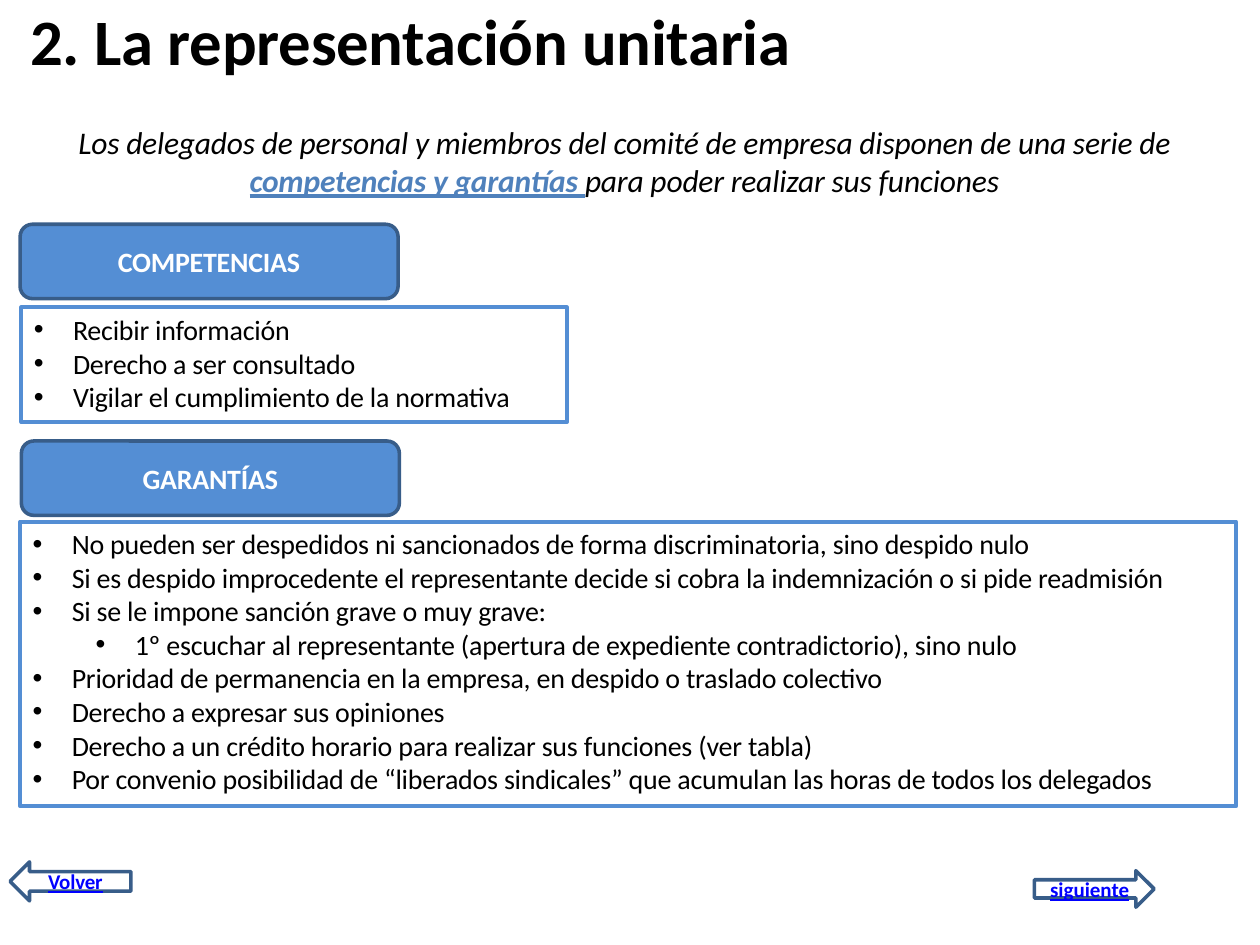
from pptx import Presentation
from pptx import util as u
from pptx.dml.color import RGBColor
from pptx.enum import shapes, text
from pptx.oxml import parse_xml
from pptx.oxml.ns import nsdecls

COLORS = {"black": "000000", "white": "FFFFFF", "blue": "548ED4",
          "navy": "385D89", "accent": "4F81BC", "link": "0000FF"}
SHAPE = shapes.MSO_SHAPE
ALIGN = text.PP_ALIGN

DUTIES = [
    "Recibir información",
    "Derecho a ser consultado",
    "Vigilar el cumplimiento de la normativa",
]
GUARANTEES = [
    "No pueden ser despedidos ni sancionados de forma discriminatoria, sino despido nulo",
    "Si es despido improcedente el representante decide si cobra la indemnización o si pide readmisión",
    "Si se le impone sanción grave o muy grave:",
    ("1º escuchar al representante (apertura de expediente contradictorio), sino nulo", 1),
    "Prioridad de permanencia en la empresa, en despido o traslado colectivo",
    "Derecho a expresar sus opiniones",
    "Derecho a un crédito horario para realizar sus funciones (ver tabla)",
    "Por convenio posibilidad de “liberados sindicales” que acumulan las horas de todos los delegados",
]


def color(name):
    """Return the named colour."""
    return RGBColor.from_string(COLORS[name])


def add_span(para, words, size=16, ink="black", bold=False, italic=False,
             underline=False, spacing=-0.1):
    """Add formatted words to a paragraph, with letter spacing in points."""
    span = para.add_run()
    span.text = words
    font = span.font
    font.name, font.size = "Calibri", u.Pt(size)
    font.bold, font.italic, font.underline = bold, italic, underline
    font.color.rgb = color(ink)
    span._r.get_or_add_rPr().set("spc", str(round(spacing * 100)))


def set_frame(box, top=0.01, wrap=True, anchor=text.MSO_ANCHOR.TOP):
    """Set the margins and wrapping of a box and return its text frame."""
    frame = box.text_frame
    frame.margin_left = frame.margin_right = frame.margin_bottom = 0
    frame.margin_top = u.Inches(top)
    frame.word_wrap, frame.vertical_anchor = wrap, anchor
    return frame


def add_text_box(page, area):
    """Add a wrapping text box and return its text frame."""
    return set_frame(page.shapes.add_textbox(*map(u.Inches, area)))


def add_box(page, kind, area, line, width, fill=None):
    """Add an outlined preset shape."""
    box = page.shapes.add_shape(kind, *map(u.Inches, area))
    box.shadow.inherit = False
    if fill:
        box.fill.solid()
        box.fill.fore_color.rgb = color(fill)
    else:
        box.fill.background()
    box.line.color.rgb = color(line)
    box.line.width = u.Pt(width)
    return box


def add_label(box, words, **style):
    """Write one centred bold line in a shape."""
    frame = set_frame(box, top=0, wrap=False, anchor=text.MSO_ANCHOR.MIDDLE)
    para = frame.paragraphs[0]
    para.alignment = ALIGN.CENTER
    add_span(para, words, bold=True, **style)


def add_heading(page, words, left, top):
    """Add a filled rounded heading."""
    box = add_box(page, SHAPE.ROUNDED_RECTANGLE, (left, top, 3, 0.59),
                  "navy", 2.04, fill="blue")
    add_label(box, words, ink="white")


def add_arrow(page, kind, area, words, spacing):
    """Add an outlined navigation arrow."""
    box = add_box(page, kind, area, "navy", 2.04)
    add_label(box, words, size=12, ink="link", underline=True, spacing=spacing)


def add_list(page, area, items):
    """Add a framed bullet list whose items may carry a level."""
    box = add_box(page, SHAPE.RECTANGLE, area, "blue", 2.28)
    frame = set_frame(box, top=0.04)
    for index, item in enumerate(items):
        words, level = (item, 0) if isinstance(item, str) else item
        para = frame.add_paragraph() if index else frame.paragraphs[0]
        para.alignment, para.level = ALIGN.LEFT, level
        props = para._p.get_or_add_pPr()
        props.set("marL", str(u.Inches(0.41 + 0.5 * level)))
        props.set("indent", str(u.Inches(-0.31)))
        props.append(parse_xml(f'<a:buFont {nsdecls("a")} typeface="Arial"/>'))
        props.append(parse_xml(f'<a:buChar {nsdecls("a")} char="•"/>'))
        add_span(para, words)


def add_intro(page):
    """Add the centred introduction with its highlighted phrase."""
    frame = add_text_box(page, (0.54, 0.97, 8.83, 0.63))
    first, second = frame.paragraphs[0], frame.add_paragraph()
    first.alignment = second.alignment = ALIGN.CENTER
    add_span(first, "Los delegados de personal y miembros del comité de empresa "
             "disponen de una serie de", size=18, italic=True)
    add_span(second, "competencias y garantías ", size=18, ink="accent",
             bold=True, italic=True, underline=True)
    add_span(second, "para poder realizar sus funciones", size=18, italic=True)


def main():
    """Build and save the slide."""
    deck = Presentation()
    deck.slide_width, deck.slide_height = u.Inches(10), u.Inches(7.5)
    page = deck.slides.add_slide(deck.slide_layouts[6])
    title = add_text_box(page, (0.24, 0, 6.11, 0.64))
    add_span(title.paragraphs[0], "2. La representación unitaria", size=37, bold=True)
    add_arrow(page, SHAPE.LEFT_ARROW, (0.08, 6.84, 0.96, 0.31), "Volver", -0.1)
    add_arrow(page, SHAPE.RIGHT_ARROW, (8.21, 6.91, 0.95, 0.29), "siguiente", 0)
    add_heading(page, "COMPETENCIAS", 0.16, 1.78)
    add_list(page, (0.17, 2.44, 4.33, 0.91), DUTIES)
    add_heading(page, "GARANTÍAS", 0.17, 3.5)
    add_list(page, (0.16, 4.14, 9.65, 2.26), GUARANTEES)
    add_intro(page)
    deck.save("out.pptx")


if __name__ == "__main__":
    main()
